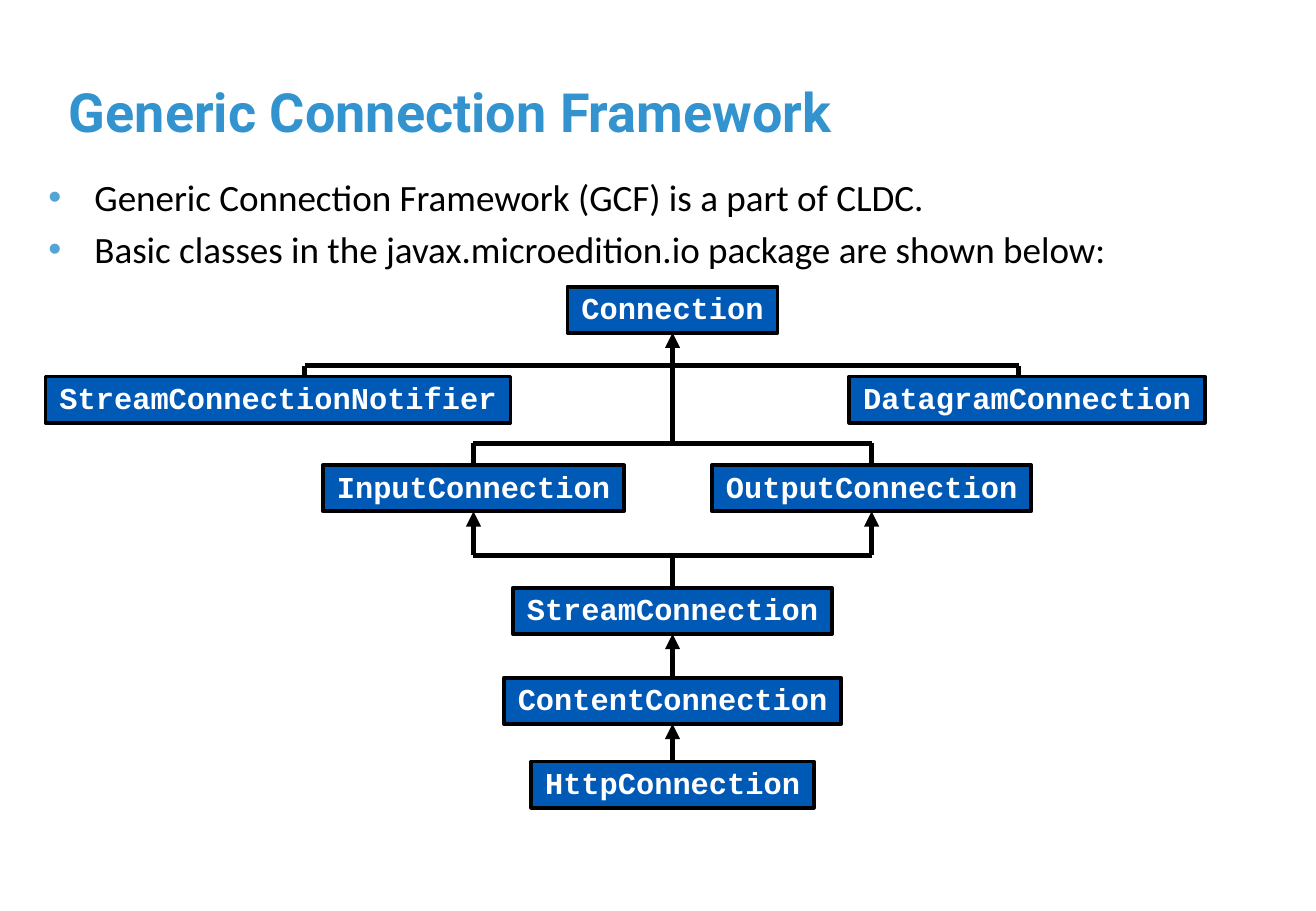
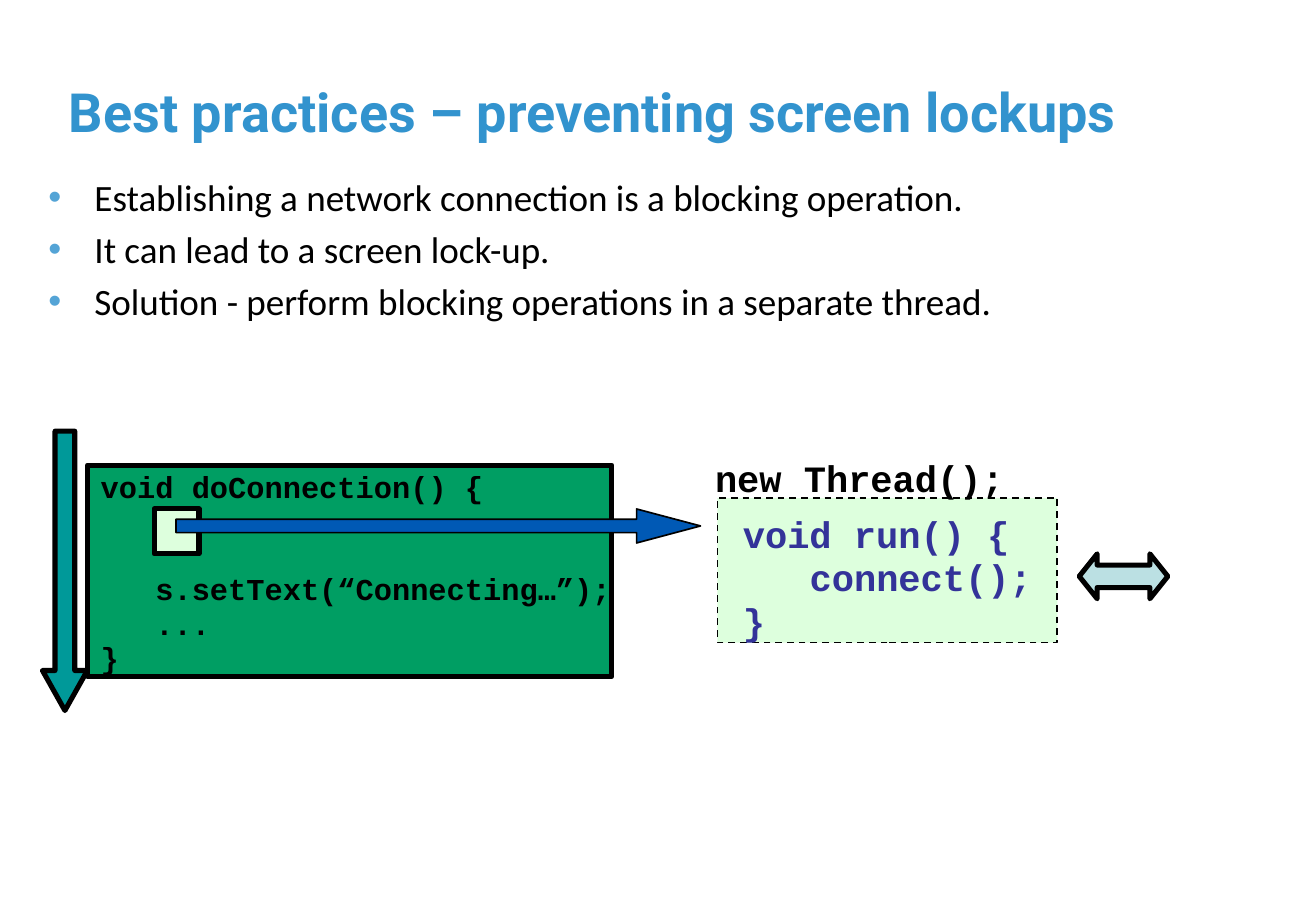
from dataclasses import dataclass

from lxml import etree
from pptx import Presentation
from pptx.dml.color import RGBColor
from pptx.enum.dml import MSO_LINE
from pptx.enum.shapes import MSO_CONNECTOR, MSO_SHAPE
from pptx.enum.text import MSO_ANCHOR, PP_ALIGN
from pptx.oxml.ns import qn
from pptx.util import Inches, Pt

RECTANGLE = MSO_SHAPE.RECTANGLE
DOWN_ARROW = MSO_SHAPE.DOWN_ARROW
RIGHT_ARROW = MSO_SHAPE.RIGHT_ARROW
DOUBLE_ARROW = MSO_SHAPE.LEFT_RIGHT_ARROW
STRAIGHT = MSO_CONNECTOR.STRAIGHT
DASH = MSO_LINE.DASH
LEFT, CENTER = PP_ALIGN.LEFT, PP_ALIGN.CENTER
TOP_ANCHOR, MIDDLE, BOTTOM_ANCHOR = MSO_ANCHOR.TOP, MSO_ANCHOR.MIDDLE, MSO_ANCHOR.BOTTOM
TOP, BOTTOM = 0, 2


@dataclass(frozen=True)
class Theme:
    title_color: str = "3293CE"
    bullet_color: str = "54A4D6"
    black: str = "000000"
    white: str = "FFFFFF"
    blue: str = "0059B5"
    green: str = "009E63"
    teal: str = "009999"
    mint: str = "DDFFDD"
    pale_teal: str = "BBE0E3"
    indigo: str = "333399"
    title_font: str = "Roboto"
    body_font: str = "Calibri"
    code_font: str = "Courier New"
    title_size: int = 32
    body_size: int = 22
    code_size: int = 18
    thread_size: int = 22
    character_width: float = 0.15
    class_height: float = 0.38
    code_insets: tuple = (0.11, 0.06, 0.11, 0.06)
    text_insets: tuple = (0.1, 0.05, 0.1, 0.05)


class Deck:
    def __init__(self, theme):
        self.theme = theme
        self.presentation = Presentation()
        self.presentation.slide_width = Inches(10.84)
        self.presentation.slide_height = Inches(7.5)
        self.slide = None

    def add_slide(self, title, bullets):
        theme = self.theme
        self.slide = self.presentation.slides.add_slide(self.presentation.slide_layouts[6])
        frame = self.text_box(0.47, 0.3, 9.9, 0.93, theme.text_insets, BOTTOM_ANCHOR)
        self.add_text(frame.paragraphs[0], title, theme.title_font, theme.title_size,
                      theme.title_color, bold=True)
        frame = self.text_box(0.3, 1.39, 10.24, 4.88, theme.text_insets)
        for index, text in enumerate(bullets):
            paragraph = self.next_paragraph(frame, index)
            paragraph.space_before = Pt(0.2 * theme.body_size)
            self.add_bullet(paragraph)
            self.add_text(paragraph, text, theme.body_font, theme.body_size, theme.black)

    def text_box(self, left, top, width, height, insets, anchor=TOP_ANCHOR):
        box = self.slide.shapes.add_textbox(
            Inches(left), Inches(top), Inches(width), Inches(height))
        return self.set_frame(box, insets, anchor)

    def set_frame(self, shape, insets, anchor=TOP_ANCHOR, wrap=True):
        frame = shape.text_frame
        frame.word_wrap = wrap
        frame.vertical_anchor = anchor
        (frame.margin_left, frame.margin_top,
         frame.margin_right, frame.margin_bottom) = map(Inches, insets)
        return frame

    def next_paragraph(self, frame, index):
        return frame.add_paragraph() if index else frame.paragraphs[0]

    def add_text(self, paragraph, text, font, size, color, bold=False):
        run = paragraph.add_run()
        run.text = text
        run.font.name = font
        run.font.size = Pt(size)
        run.font.bold = bold
        run.font.color.rgb = RGBColor.from_string(color)

    def add_bullet(self, paragraph):
        properties = paragraph._p.get_or_add_pPr()
        properties.set("marL", str(Inches(0.38)))
        properties.set("indent", str(Inches(-0.38)))
        color = etree.SubElement(properties, qn("a:buClr"))
        etree.SubElement(color, qn("a:srgbClr"), val=self.theme.bullet_color)
        etree.SubElement(properties, qn("a:buFont"), typeface="Arial")
        etree.SubElement(properties, qn("a:buChar"), char="•")

    def code(self, frame, lines, size, color, align=LEFT):
        for index, (text, indent, gap) in enumerate(lines):
            paragraph = self.next_paragraph(frame, index)
            paragraph.alignment = align
            paragraph.line_spacing = 0.9
            paragraph.space_before = Pt(gap)
            if indent:
                paragraph._p.get_or_add_pPr().set("marL", str(Inches(indent)))
            self.add_text(paragraph, text, self.theme.code_font, size, color, bold=True)

    def shape(self, kind, left, top, width, height, fill, weight=3, dash=None, adjustments=()):
        shape = self.slide.shapes.add_shape(
            kind, Inches(left), Inches(top), Inches(width), Inches(height))
        shape.shadow.inherit = False
        shape.fill.solid()
        shape.fill.fore_color.rgb = RGBColor.from_string(fill)
        shape.line.color.rgb = RGBColor.from_string(self.theme.black)
        shape.line.width = Pt(weight)
        if dash:
            shape.line.dash_style = dash
        for index, value in enumerate(adjustments):
            shape.adjustments[index] = value
        return shape

    def class_box(self, name, center, top):
        theme = self.theme
        width = theme.character_width * len(name) + 0.23
        shape = self.shape(RECTANGLE, center - width / 2, top, width, theme.class_height,
                           theme.blue, weight=2.25)
        frame = self.set_frame(shape, theme.code_insets, MIDDLE, wrap=False)
        self.code(frame, [(name, 0, 0)], theme.code_size, theme.white, CENTER)
        return shape

    def line(self, start, end, arrow=False):
        points = [end_point if isinstance(end_point[0], (int, float)) else (0, 0)
                  for end_point in (start, end)]
        connector = self.slide.shapes.add_connector(
            STRAIGHT, *(Inches(value) for point in points for value in point))
        for end_point, join in ((start, connector.begin_connect), (end, connector.end_connect)):
            if not isinstance(end_point[0], (int, float)):
                join(*end_point)
        connector.line.color.rgb = RGBColor.from_string(self.theme.black)
        connector.line.width = Pt(3)
        if arrow:
            etree.SubElement(connector.line._get_or_add_ln(), qn("a:tailEnd"), type="triangle")
        etree.SubElement(connector._element.spPr, qn("a:effectLst"))


def connection_slide(deck):
    deck.add_slide("Generic Connection Framework", [
        "Generic Connection Framework (GCF) is a part of CLDC.",
        "Basic classes in the javax.microedition.io package are shown below:",
    ])
    input_x, output_x = 3.9, 7.18
    axis = (input_x + output_x) / 2
    notifier_x, datagram_x = 2.51, 8.39
    upper_bus, middle_bus, lower_bus = 3.01, 3.65, 4.57

    connection = deck.class_box("Connection", axis, 2.36)
    deck.class_box("StreamConnectionNotifier", 2.29, 3.1)
    deck.class_box("DatagramConnection", 8.46, 3.1)
    input_box = deck.class_box("InputConnection", input_x, 3.83)
    output_box = deck.class_box("OutputConnection", output_x, 3.83)
    stream = deck.class_box("StreamConnection", axis, 4.84)
    content = deck.class_box("ContentConnection", axis, 5.58)
    http = deck.class_box("HttpConnection", axis, 6.27)

    deck.line((axis, middle_bus), (connection, BOTTOM), arrow=True)
    deck.line((notifier_x, upper_bus), (datagram_x, upper_bus))
    for x in (notifier_x, datagram_x):
        deck.line((x, upper_bus), (x, 3.1))
    for bus in (middle_bus, lower_bus):
        deck.line((input_x, bus), (output_x, bus))
    for x, box in ((input_x, input_box), (output_x, output_box)):
        deck.line((x, middle_bus), (box, TOP))
        deck.line((x, lower_bus), (box, BOTTOM), arrow=True)
    deck.line((axis, lower_bus), (stream, TOP))
    for child, parent in ((content, stream), (http, content)):
        deck.line((child, TOP), (parent, BOTTOM), arrow=True)


def lockup_slide(deck):
    theme = deck.theme
    deck.add_slide("Best practices – preventing screen lockups", [
        "Establishing a network connection is a blocking operation.",
        "It can lead to a screen lock-up.",
        "Solution - perform blocking operations in a separate thread.",
    ])
    deck.shape(RECTANGLE, 0.72, 3.83, 4.32, 1.74, theme.green)
    frame = deck.text_box(0.72, 3.83, 4.5, 1.74, theme.code_insets)
    deck.code(frame, [
        ("void doConnection() {", 0, 0),
        ("s.setText(“Connecting…”);", 0.45, 41),
        ("...", 0.45, 1),
        ("}", 0, 1),
    ], theme.code_size, theme.black)
    deck.shape(DOWN_ARROW, 0.35, 3.55, 0.37, 2.3, theme.teal, adjustments=(0.44, 0.89))

    run_panel = deck.shape(RECTANGLE, 5.91, 4.1, 2.8, 1.19, theme.mint, weight=1, dash=DASH)
    frame = deck.set_frame(run_panel, (0.21, 0.15, 0.11, 0.05))
    deck.code(frame, [
        ("void run() {", 0, 0),
        ("connect();", 0.55, 2),
        ("}", 0, 2),
    ], theme.thread_size, theme.indigo)
    deck.shape(RECTANGLE, 1.27, 4.19, 0.37, 0.37, theme.mint)
    frame = deck.text_box(5.76, 3.73, 2.64, 0.44, theme.code_insets)
    deck.code(frame, [("new Thread();", 0, 0)], theme.thread_size, theme.black, CENTER)
    deck.shape(RIGHT_ARROW, 1.45, 4.19, 4.32, 0.28, theme.blue, weight=1,
               adjustments=(0.39, 1.88))
    deck.shape(DOUBLE_ARROW, 8.89, 4.56, 0.73, 0.37, theme.pale_teal, adjustments=(0.5, 0.4))


def main():
    deck = Deck(Theme())
    connection_slide(deck)
    lockup_slide(deck)
    deck.presentation.save("out.pptx")


if __name__ == "__main__":
    main()
